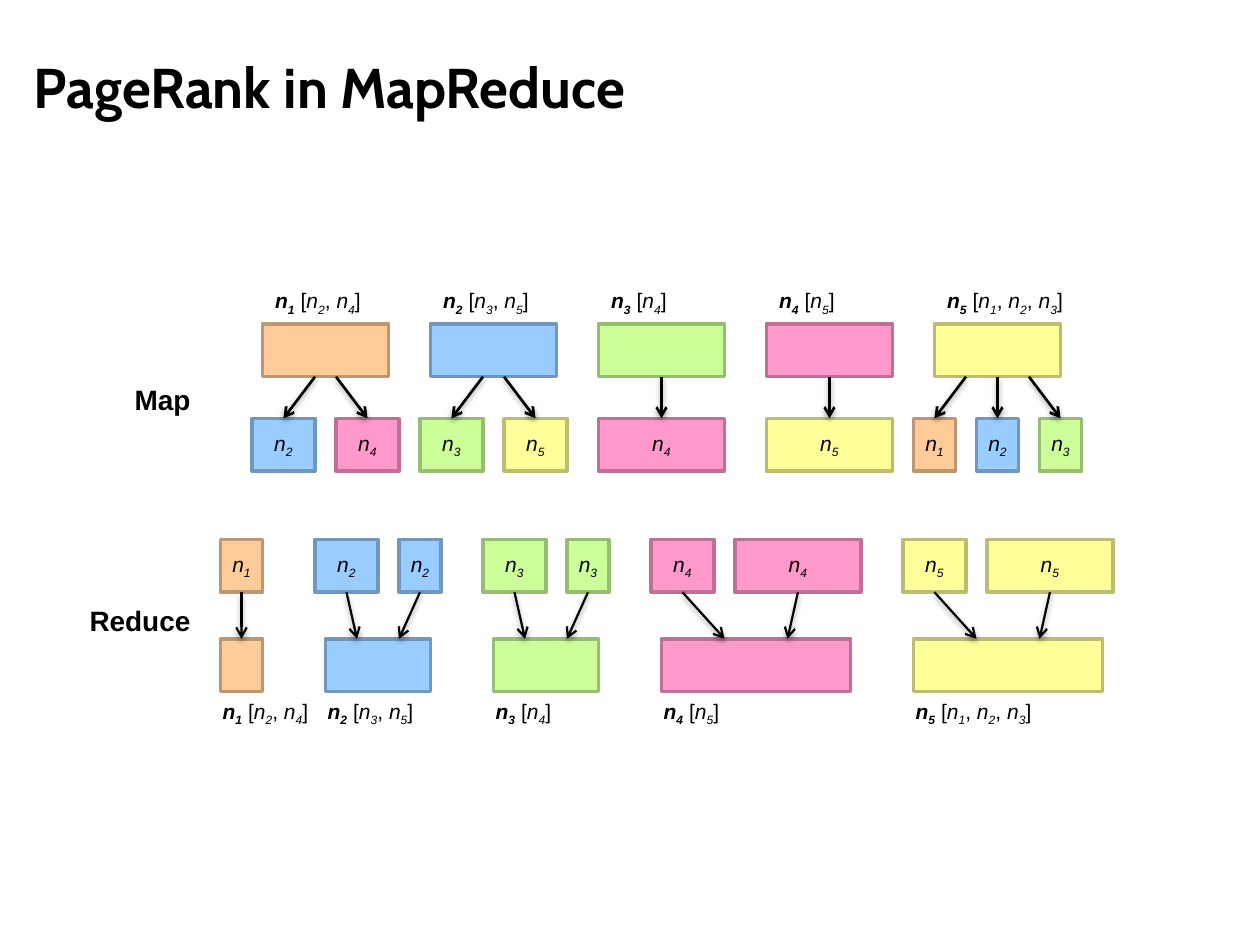
from itertools import accumulate

from lxml.etree import SubElement
from pptx import Presentation
from pptx.dml.color import RGBColor
from pptx.enum.shapes import MSO_CONNECTOR as Connector, MSO_SHAPE as Shape
from pptx.enum.text import MSO_ANCHOR as Anchor, PP_ALIGN as Align
from pptx.oxml.ns import qn
from pptx.util import Inches, Pt

UNIT = 1 / 12  # horizontal grid step, in inches
GAP = 2  # grid steps between the boxes of one node
BOX_HEIGHT = 0.42
BOTTOM, TOP = 2, 0  # connection sites of a rectangle

LINKS = {1: (2, 4), 2: (3, 5), 3: (4,), 4: (5,), 5: (1, 2, 3)}
# node: fill, outline
COLOURS = {
    1: ("FFCC99", "BD9771"),
    2: ("99CCFF", "7197BD"),
    3: ("CCFF99", "97BD71"),
    4: ("FF99CC", "BD7197"),
    5: ("FFFF99", "BDBD71"),
}

MAP_WIDTH, MAP_FIRST_CENTRE, MAP_STEP = 12, 31, 16
MAP_ARROW_STEP = {1: 0, 2: 2, 3: 3}  # by number of arrows
# node: centre, widths of the incoming boxes, step between the arrow tips
REDUCE = {
    1: (23, (4,), 0),
    2: (36, (6, 4), 4),
    3: (52, (6, 4), 4),
    4: (72, (6, 12), 6),
    5: (96, (6, 12), 6),
}


def colour(hex_value):
    return RGBColor.from_string(hex_value)


def spread(centre, step, count):
    """Positions at equal steps around a centre."""
    return [centre + step * (i - (count - 1) / 2) for i in range(count)]


def row_lefts(centre, widths):
    """Left edges of boxes set side by side around a centre."""
    start = centre - (sum(widths) + GAP * (len(widths) - 1)) / 2
    return list(accumulate((width + GAP for width in widths[:-1]), initial=start))


class SlideBuilder:
    font = "Arial"
    title_font = "Cabin"
    ink = "000000"
    text_size = 12

    def __init__(self, slide):
        self.slide = slide

    def format_run(self, run, size, bold=False, italic=False, font=None):
        run.font.name = font or self.font
        run.font.size = Pt(size)
        run.font.bold = bold
        run.font.italic = italic
        run.font.color.rgb = colour(self.ink)

    def add_run(self, paragraph, text, **style):
        run = paragraph.add_run()
        run.text = text
        self.format_run(run, self.text_size, **style)
        return run

    def add_node_name(self, paragraph, node, bold=False):
        self.add_run(paragraph, "n", bold=bold, italic=True)
        index = self.add_run(paragraph, str(node), bold=bold, italic=True)
        index.font._element.set("baseline", "-25000")

    def text(self, text, left, top, width, height, size, font=None,
             align=Align.LEFT, anchor=Anchor.TOP, wrap=False):
        shape = self.slide.shapes.add_textbox(
            Inches(left), Inches(top), Inches(width), Inches(height))
        frame = shape.text_frame
        frame.text = text
        frame.word_wrap = wrap
        frame.vertical_anchor = anchor
        paragraph = frame.paragraphs[0]
        paragraph.alignment = align
        self.format_run(paragraph.runs[0], size, bold=True, font=font)

    def link_table(self, node, left, top):
        """One-cell table that names a node and the nodes it links to."""
        table = self.slide.shapes.add_table(
            1, 1, Inches(left * UNIT), Inches(top), Inches(1.58), Inches(0.31)).table
        table.first_row = table.horz_banding = False
        cell = table.cell(0, 0)
        cell.fill.background()
        paragraph = cell.text_frame.paragraphs[0]
        self.add_node_name(paragraph, node, bold=True)
        for i, target in enumerate(LINKS[node]):
            self.add_run(paragraph, ", " if i else " [")
            self.add_node_name(paragraph, target)
        self.add_run(paragraph, "]")

    def box(self, node, left, top, width, named=False):
        shape = self.slide.shapes.add_shape(
            Shape.RECTANGLE, Inches(left * UNIT), Inches(top),
            Inches(width * UNIT), Inches(BOX_HEIGHT))
        fill, outline = COLOURS[node]
        shape.shadow.inherit = False
        shape.fill.solid()
        shape.fill.fore_color.rgb = colour(fill)
        shape.line.color.rgb = colour(outline)
        shape.line.width = Pt(2)
        if named:
            frame = shape.text_frame
            frame.margin_left = frame.margin_right = 0
            frame.margin_top = frame.margin_bottom = 0
            frame.word_wrap = False
            frame.vertical_anchor = Anchor.MIDDLE
            paragraph = frame.paragraphs[0]
            paragraph.alignment = Align.CENTER
            self.add_node_name(paragraph, node)
        return shape

    def arrow(self, start, end, weight, source=None, target=None):
        """Arrow between two points, joined to the boxes that are given."""
        (x1, y1), (x2, y2) = start, end
        connector = self.slide.shapes.add_connector(
            Connector.STRAIGHT, Inches(x1 * UNIT), Inches(y1),
            Inches(x2 * UNIT), Inches(y2))
        if source is not None:
            connector.begin_connect(source, BOTTOM)
        if target is not None:
            connector.end_connect(target, TOP)
        connector.line.color.rgb = colour(self.ink)
        connector.line.width = Pt(weight)
        SubElement(connector.line._get_or_add_ln(), qn("a:tailEnd"), type="arrow")
        effects = SubElement(connector._element.spPr, qn("a:effectLst"))
        shadow = SubElement(effects, qn("a:outerShdw"), blurRad="40000",
                            dist="20000", dir="5400000", rotWithShape="0")
        tint = SubElement(shadow, qn("a:srgbClr"), val=self.ink)
        SubElement(tint, qn("a:alpha"), val="38000")

    def map_group(self, node, centre):
        parent_top, child_top = 2.57, 3.32
        targets = LINKS[node]
        count = len(targets)
        left = centre - MAP_WIDTH / 2
        width = MAP_WIDTH / count
        self.link_table(node, left, 2.25)
        parent = self.box(node, left, parent_top, MAP_WIDTH)
        starts = spread(centre, MAP_ARROW_STEP[count], count)
        for target, child_left, x in zip(
                targets, row_lefts(centre, [width] * count), starts):
            child = self.box(target, child_left, child_top, width, named=True)
            self.arrow((x, parent_top + BOX_HEIGHT),
                       (child_left + width / 2, child_top), 1.5,
                       source=parent if x == centre else None, target=child)

    def reduce_group(self, node, centre, widths, arrow_step):
        part_top, result_top = 4.28, 5.07
        total = sum(widths)
        left = centre - total / 2
        result = self.box(node, left, result_top, total)
        tips = spread(centre, arrow_step, len(widths))
        for part_left, width, x in zip(row_lefts(centre, widths), widths, tips):
            part = self.box(node, part_left, part_top, width, named=True)
            self.arrow((part_left + width / 2, part_top + BOX_HEIGHT),
                       (x, result_top), 1.25, source=part,
                       target=result if x == centre else None)
        self.link_table(node, left - 1, 5.51)


def main():
    presentation = Presentation()
    presentation.slide_width = Inches(10)
    presentation.slide_height = Inches(7.5)
    builder = SlideBuilder(
        presentation.slides.add_slide(presentation.slide_layouts[6]))

    builder.text("PageRank in MapReduce", 0.17, 0.12, 9.5, 1.12, 32,
                 font=builder.title_font, anchor=Anchor.MIDDLE, wrap=True)
    for i, node in enumerate(LINKS):
        builder.map_group(node, MAP_FIRST_CENTRE + i * MAP_STEP)
    for node, layout in REDUCE.items():
        builder.reduce_group(node, *layout)
    builder.text("Map", 0.96, 2.99, 0.65, 0.37, 16, align=Align.RIGHT)
    builder.text("Reduce", 0.6, 4.74, 1.01, 0.37, 16, align=Align.RIGHT)

    presentation.save("out.pptx")


if __name__ == "__main__":
    main()
